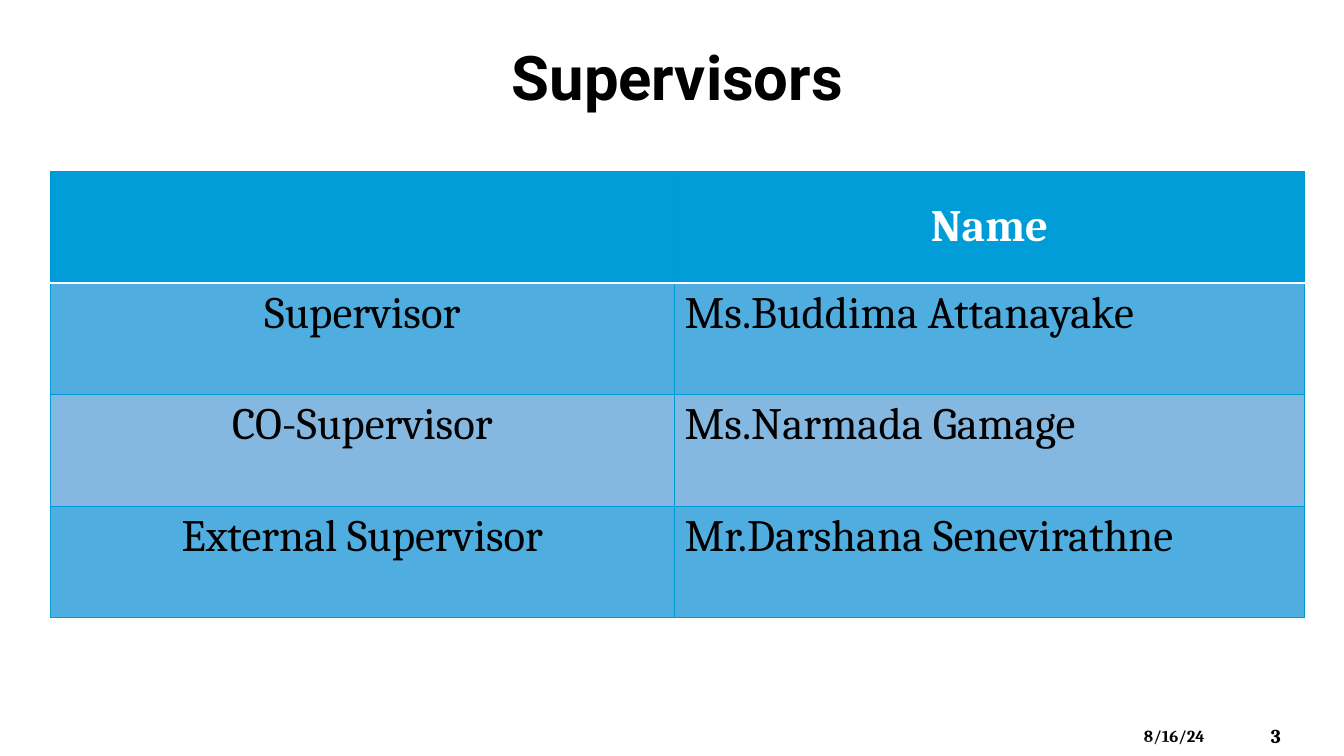
"""Build the Supervisors slide with its table of names."""
from dataclasses import dataclass

from lxml.etree import SubElement
from pptx import Presentation
from pptx.dml.color import RGBColor
from pptx.enum.shapes import MSO_SHAPE
from pptx.enum.text import MSO_ANCHOR, PP_ALIGN
from pptx.oxml.ns import qn
from pptx.util import Cm, Pt

TITLE = "Supervisors"
DATE = "8/16/24"
SLIDE_NUMBER = "3"
ROWS = [
    ("", "Name"),
    ("Supervisor", "Ms.Buddima Attanayake"),
    ("CO-Supervisor", "Ms.Narmada Gamage"),
    ("External Supervisor", "Mr.Darshana Senevirathne"),
]
SLIDE_WIDTH, SLIDE_HEIGHT = 33.87, 19.05
FOOTER_TRIANGLES = [(1.04, 0.63), (0.51, 0.39)]
COLUMN_WIDTHS = (15.73, 15.88)
ROW_HEIGHT = 2.81
TABLE_LEFT, TABLE_TOP = 1.27, 4.32


@dataclass(frozen=True)
class Theme:
    heading_font: str = "Roboto"
    body_font: str = "Cambria"
    black: str = "000000"
    white: str = "FFFFFF"
    header: str = "009DD9"
    bands: tuple = ("50ADDF", "85B8E0")
    border: str = "009AD4"
    footer_opacity: int = 20
    title_size: int = 44
    table_size: int = 32
    date_size: int = 12
    number_size: int = 14
    border_width: float = 0.75
    header_rule: float = 1.5


THEME = Theme()


def write_text(frame, text, *, size, font=THEME.body_font, color=THEME.black,
               bold=True, align=PP_ALIGN.LEFT, anchor=MSO_ANCHOR.TOP):
    frame.word_wrap = True
    frame.vertical_anchor = anchor
    paragraph = frame.paragraphs[0]
    paragraph.alignment = align
    run = paragraph.add_run()
    run.text = text
    run.font.name = font
    run.font.size = Pt(size)
    run.font.bold = bold
    run.font.color.rgb = RGBColor.from_string(color)


def add_text_box(slide, text, left, top, width, height, **text_format):
    box = slide.shapes.add_textbox(Cm(left), Cm(top), Cm(width), Cm(height))
    write_text(box.text_frame, text, **text_format)


def add_footer_triangle(slide, height, apex):
    triangle = slide.shapes.add_shape(
        MSO_SHAPE.ISOSCELES_TRIANGLE, 0, Cm(SLIDE_HEIGHT - height),
        Cm(SLIDE_WIDTH), Cm(height))
    triangle.adjustments[0] = apex
    triangle.shadow.inherit = False
    triangle.line.fill.background()
    triangle.fill.solid()
    triangle.fill.fore_color.rgb = RGBColor.from_string(THEME.white)
    color = triangle._element.spPr.find(qn("a:solidFill")).find(qn("a:srgbClr"))
    SubElement(color, qn("a:alpha"), val=str(THEME.footer_opacity * 1000))


def set_border(cell, side, color, width):
    properties = cell._tc.get_or_add_tcPr()
    line = SubElement(properties, qn(f"a:ln{side}"), w=str(Pt(width)))
    fill = SubElement(line, qn("a:solidFill"))
    SubElement(fill, qn("a:srgbClr"), val=color)


def style_cell(cell, row):
    borders = {side: (THEME.border, THEME.border_width) for side in "LRTB"}
    if row < 2:
        borders["B" if row == 0 else "T"] = (THEME.white, THEME.header_rule)
    for side, (color, width) in borders.items():
        set_border(cell, side, color, width)
    fill_color = THEME.header if row == 0 else THEME.bands[(row - 1) % 2]
    cell.fill.solid()
    cell.fill.fore_color.rgb = RGBColor.from_string(fill_color)


def add_supervisor_table(slide):
    table = slide.shapes.add_table(
        len(ROWS), len(COLUMN_WIDTHS), Cm(TABLE_LEFT), Cm(TABLE_TOP),
        Cm(sum(COLUMN_WIDTHS)), Cm(ROW_HEIGHT * len(ROWS))).table
    for column, width in zip(table.columns, COLUMN_WIDTHS):
        column.width = Cm(width)
    for row_index, texts in enumerate(ROWS):
        table.rows[row_index].height = Cm(ROW_HEIGHT)
        is_header = row_index == 0
        for column_index, text in enumerate(texts):
            cell = table.cell(row_index, column_index)
            style_cell(cell, row_index)
            if not text:
                continue
            centred = is_header or column_index == 0
            write_text(
                cell.text_frame, text, size=THEME.table_size, bold=is_header,
                color=THEME.white if is_header else THEME.black,
                align=PP_ALIGN.CENTER if centred else PP_ALIGN.JUSTIFY)
            cell.vertical_anchor = MSO_ANCHOR.MIDDLE if is_header else MSO_ANCHOR.TOP


def main():
    presentation = Presentation()
    presentation.slide_width = Cm(SLIDE_WIDTH)
    presentation.slide_height = Cm(SLIDE_HEIGHT)
    slide = presentation.slides.add_slide(presentation.slide_layouts[6])
    add_text_box(slide, DATE, 28.58, 18.16, 2.97, 0.76, size=THEME.date_size)
    for height, apex in FOOTER_TRIANGLES:
        add_footer_triangle(slide, height, apex)
    add_text_box(slide, SLIDE_NUMBER, 31.78, 18.03, 1.88, 1.02,
                 size=THEME.number_size, anchor=MSO_ANCHOR.MIDDLE)
    add_text_box(slide, TITLE, 0.85, 0.86, 32.46, 2.21, size=THEME.title_size,
                 font=THEME.heading_font, align=PP_ALIGN.CENTER)
    add_supervisor_table(slide)
    presentation.save("out.pptx")


if __name__ == "__main__":
    main()
